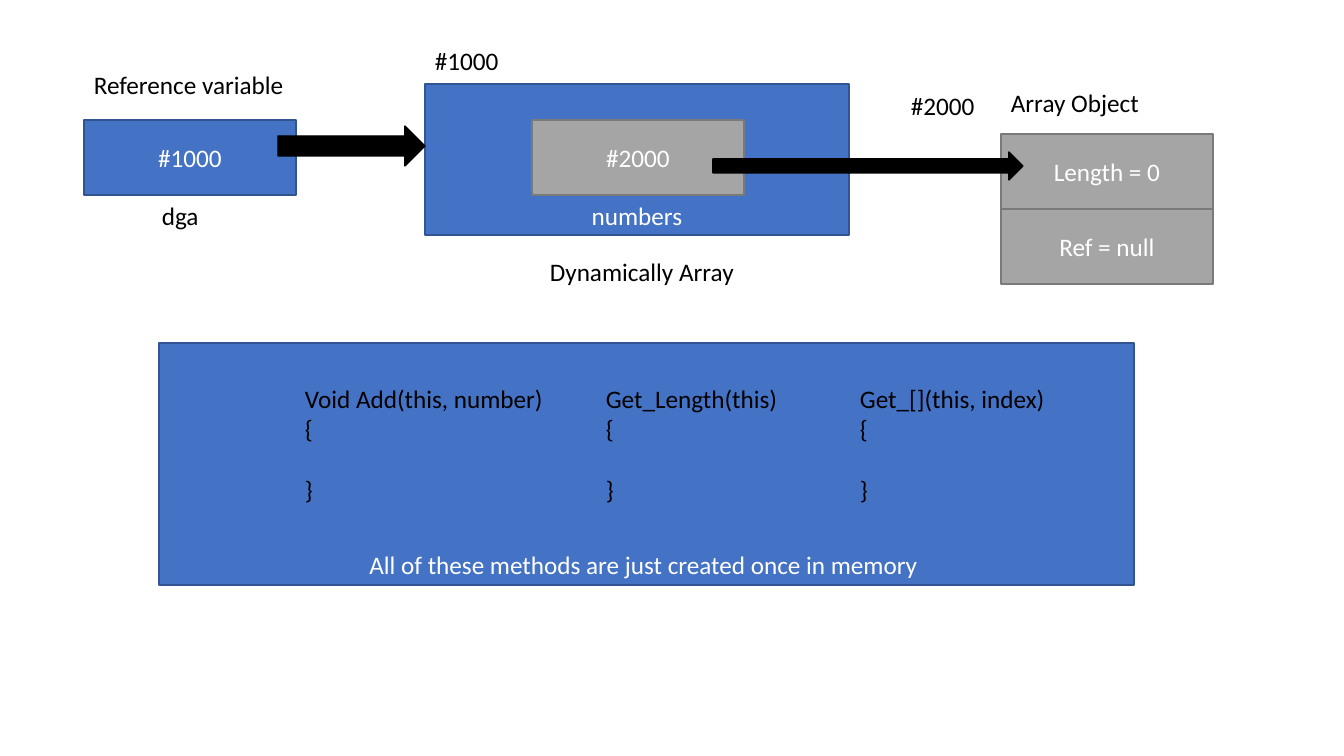
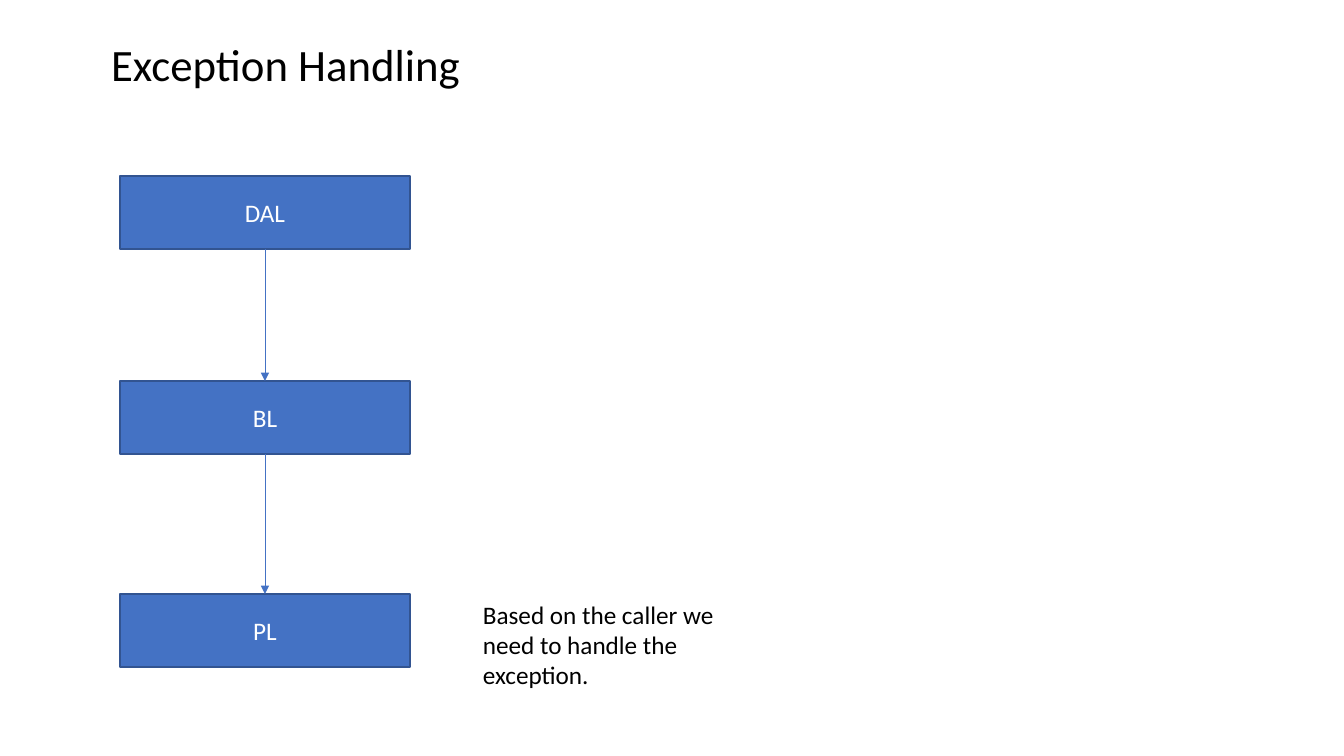
from dataclasses import dataclass
from itertools import pairwise

from lxml.etree import SubElement
from pptx import Presentation
from pptx.dml.color import RGBColor
from pptx.enum.shapes import MSO_CONNECTOR, MSO_SHAPE
from pptx.enum.text import MSO_ANCHOR as Anchor, PP_ALIGN as Align
from pptx.oxml.ns import qn
from pptx.shapes.autoshape import Shape
from pptx.shapes.connector import Connector
from pptx.slide import Slide
from pptx.util import Emu, Pt

PIXEL = 914400 / 100.8
FONT = "Calibri"
BLACK, WHITE = "000000", "FFFFFF"
BLUE, DARK_BLUE = "4472C4", "325491"
GRAY, DARK_GRAY = "A5A5A5", "7A7A7A"
TITLE_ONLY, BLANK = 5, 6
TOP_SITE, BOTTOM_SITE = 0, 2
CODE_LINE = 22


@dataclass(frozen=True)
class Frame:
    left: int
    top: int
    width: int
    height: int

    def emu(self) -> tuple[Emu, ...]:
        return tuple(map(px, (self.left, self.top, self.width, self.height)))


@dataclass(frozen=True)
class Box:
    frame: Frame
    text: str = ""
    fill: str = BLUE
    line: str = DARK_BLUE
    anchor: Anchor = Anchor.MIDDLE
    preset: MSO_SHAPE = MSO_SHAPE.RECTANGLE


@dataclass(frozen=True)
class Label:
    frame: Frame
    text: str


@dataclass(frozen=True)
class Method:
    left: int
    signature: str


def px(length: int) -> Emu:
    return Emu(round(length * PIXEL))


def color(value: str) -> RGBColor:
    return RGBColor.from_string(value)


def write(shape: Shape, text: str, *, size: int = 18, ink: str = BLACK,
          align: Align = Align.LEFT, anchor: Anchor = Anchor.TOP) -> None:
    frame = shape.text_frame
    frame.word_wrap = True
    frame.vertical_anchor = anchor
    frame.text = text
    for para in frame.paragraphs:
        para.alignment = align
        for span in para.runs:
            span.font.name = FONT
            span.font.size = Pt(size)
            span.font.color.rgb = color(ink)


def draw_box(page: Slide, box: Box) -> Shape:
    shape = page.shapes.add_shape(box.preset, *box.frame.emu())
    shape.shadow.inherit = False
    shape.fill.solid()
    shape.fill.fore_color.rgb = color(box.fill)
    shape.line.color.rgb = color(box.line)
    shape.line.width = Pt(1)
    if box.text:
        write(shape, box.text, ink=WHITE, align=Align.CENTER, anchor=box.anchor)
    return shape


def draw_label(page: Slide, label: Label) -> Shape:
    shape = page.shapes.add_textbox(*label.frame.emu())
    write(shape, label.text)
    return shape


def draw_method(page: Slide, method: Method) -> None:
    frame = Frame(method.left, 378, 295, 132)
    shape = draw_label(page, Label(frame, f"{method.signature}\n{{\n}}"))
    shape.text_frame.paragraphs[-1].space_before = Pt(CODE_LINE)


def connect(page: Slide, upper: Shape, lower: Shape) -> Connector:
    link = page.shapes.add_connector(MSO_CONNECTOR.STRAIGHT, 0, 0, 0, 0)
    link.begin_connect(upper, BOTTOM_SITE)
    link.end_connect(lower, TOP_SITE)
    link.line.color.rgb = color(BLUE)
    link.line.width = Pt(0.5)
    properties = link.element.spPr
    SubElement(properties.find(qn("a:ln")), qn("a:tailEnd"), type="triangle")
    SubElement(properties, qn("a:effectLst"))
    return link


def set_title(page: Slide, text: str) -> None:
    title = page.shapes.title
    title.left, title.top, title.width, title.height = Frame(101, 32, 572, 65).emu()
    write(title, text, size=32)


MEMORY_BOXES = [
    Box(Frame(159, 343, 975, 242),
        "All of these methods are just created once in memory ", anchor=Anchor.BOTTOM),
    Box(Frame(84, 120, 212, 75), "#1000"),
    Box(Frame(425, 84, 424, 151), "numbers", anchor=Anchor.BOTTOM),
    Box(Frame(532, 120, 212, 75), "#2000", GRAY, DARK_GRAY),
    *(Box(Frame(1001, 134 + 75 * row, 212, 75), text, GRAY, DARK_GRAY)
      for row, text in enumerate(("Length = 0", "Ref = null"))),
]
MEMORY_LABELS = [
    Label(Frame(84, 64, 212, 40), "Reference variable"),
    Label(Frame(152, 195, 100, 40), "dga"),
    Label(Frame(425, 40, 100, 40), "#1000"),
    Label(Frame(540, 251, 212, 40), "Dynamically Array "),
    Label(Frame(901, 85, 100, 40), "#2000"),
    Label(Frame(1001, 82, 212, 40), "Array Object"),
]
METHODS = [
    Method(295, "Void Add(this, number) "),
    Method(596, "Get_Length(this) "),
    Method(850, "Get_[](this, index) "),
]
REFERENCE_ARROWS = [
    Box(frame, fill=BLACK, line=BLACK, preset=MSO_SHAPE.RIGHT_ARROW)
    for frame in (Frame(278, 126, 147, 40), Frame(713, 152, 310, 28))
]
LAYERS = [
    Box(Frame(120, top, 290, 73), text)
    for top, text in ((176, "DAL"), (381, "BL"), (594, "PL"))
]
CALLER_NOTE = Label(Frame(473, 594, 255, 102),
                    "Based on the caller we need to handle the exception. ")


def build_memory_page(page: Slide) -> None:
    for box in MEMORY_BOXES:
        draw_box(page, box)
    for label in MEMORY_LABELS:
        draw_label(page, label)
    for method in METHODS:
        draw_method(page, method)
    for arrow in REFERENCE_ARROWS:
        draw_box(page, arrow)


def build_exception_page(page: Slide) -> None:
    set_title(page, "Exception Handling")
    layers = [draw_box(page, layer) for layer in LAYERS]
    for upper, lower in pairwise(layers):
        connect(page, upper, lower)
    draw_label(page, CALLER_NOTE)


deck = Presentation()
deck.slide_width, deck.slide_height = px(1344), px(756)
build_memory_page(deck.slides.add_slide(deck.slide_layouts[BLANK]))
build_exception_page(deck.slides.add_slide(deck.slide_layouts[TITLE_ONLY]))
deck.save("out.pptx")
